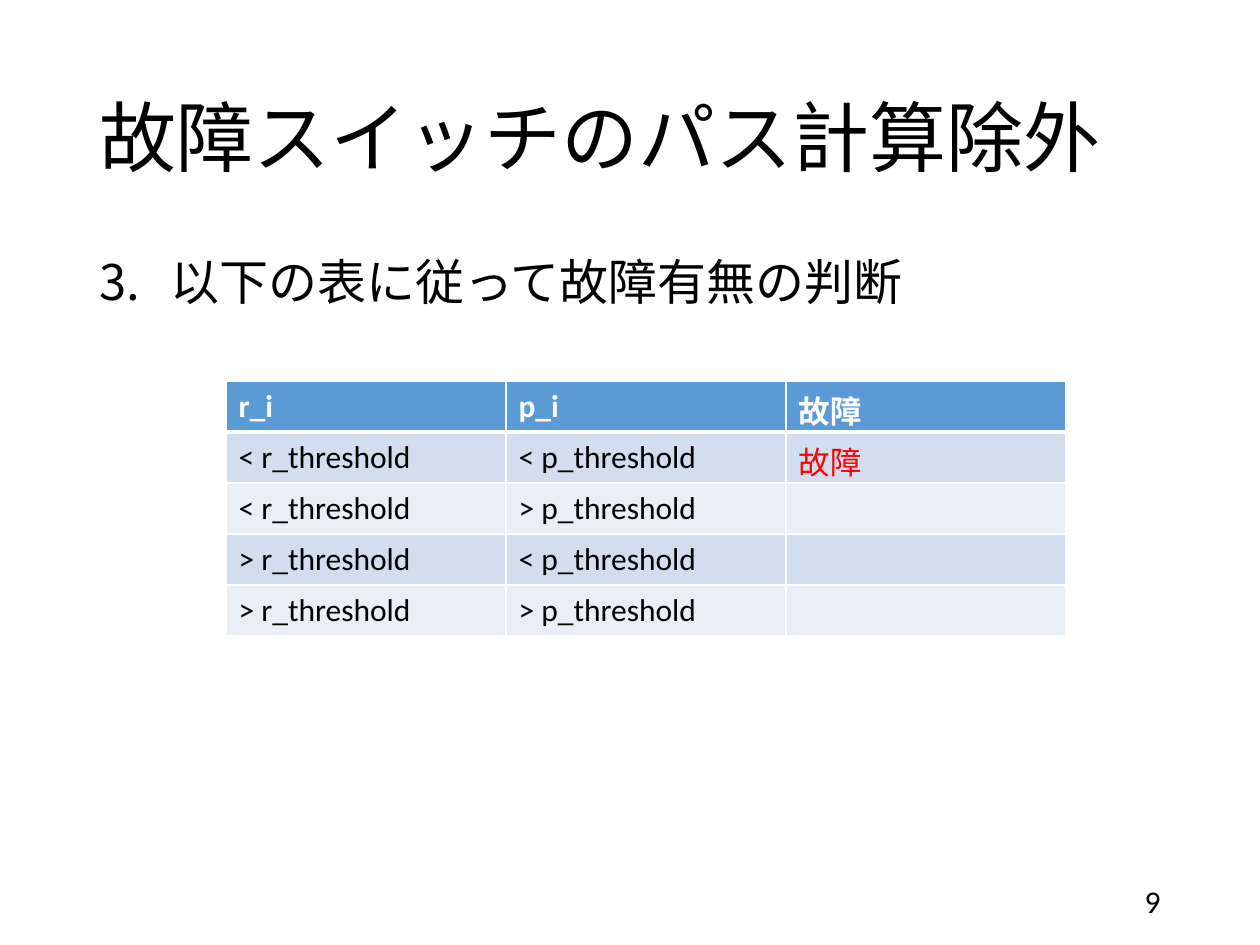
import pptx
import pptx.dml.color
import pptx.enum.text
import pptx.oxml
import pptx.oxml.ns
import pptx.util

# Content
TITLE = "故障スイッチのパス計算除外"
STEP, STEP_NUMBER = "以下の表に従って故障有無の判断", 3
PAGE_NUMBER = "9"
ROWS = [
    ("r_i", "p_i", "故障"),
    ("< r_threshold", "< p_threshold", "故障"),
    ("< r_threshold", "> p_threshold", ""),
    ("> r_threshold", "< p_threshold", ""),
    ("> r_threshold", "> p_threshold", ""),
]

# Geometry in px: left, top, width, height
PX = 914400 / 126
TITLE_BOX = (87, 50, 1086, 183)
BODY_BOX = (87, 252, 1086, 600)
NUMBER_BOX = (890, 876, 283, 50)
TABLE_LEFT, TABLE_TOP, COLUMN_WIDTH, ROW_HEIGHT = 226, 381, 280, 51
INDENT = 71

FONT = "Calibri"
BLACK, WHITE, RED = "000000", "FFFFFF", "FF0000"
HEADER_FILL, BAND_FILLS = "5B9BD5", ("D2DEEF", "EAEFF7")

ALIGN = pptx.enum.text.PP_ALIGN
ANCHOR = pptx.enum.text.MSO_ANCHOR


def px(length):
    return pptx.util.Emu(round(length * PX))


def color(value):
    return pptx.dml.color.RGBColor.from_string(value)


def place(shape, box):
    shape.left, shape.top, shape.width, shape.height = map(px, box)


def write(frame, text, size=18, fill=BLACK, bold=False, align=ALIGN.LEFT,
          anchor=ANCHOR.TOP, line_spacing=None, space_before=0):
    frame.word_wrap = True
    frame.vertical_anchor = anchor
    paragraph = frame.paragraphs[0]
    paragraph.alignment = align
    paragraph.line_spacing = line_spacing
    paragraph.space_before = pptx.util.Pt(space_before)
    # Formatting the paragraph's end keeps empty cells at the same size
    run = paragraph.add_run() if text else paragraph
    if text:
        run.text = text
    run.font.name = FONT
    run.font.size = pptx.util.Pt(size)
    run.font.bold = bold
    run.font.color.rgb = color(fill)
    return paragraph


def number_paragraph(paragraph, start):
    properties = paragraph._p.get_or_add_pPr()
    properties.set("marL", str(px(INDENT)))
    properties.set("indent", str(-px(INDENT)))
    bullet = pptx.oxml.parse_xml(
        f'<a:buAutoNum {pptx.oxml.ns.nsdecls("a")} type="arabicPeriod" startAt="{start}"/>')
    properties.append(bullet)


def set_borders(cell, widths):
    properties = cell._tc.get_or_add_tcPr()
    for index, (side, width) in enumerate(widths.items()):
        properties.insert(index, pptx.oxml.parse_xml(
            f'<a:ln{side} {pptx.oxml.ns.nsdecls("a")} w="{pptx.util.Pt(width)}">'
            f'<a:solidFill><a:srgbClr val="{WHITE}"/></a:solidFill></a:ln{side}>'))


def add_threshold_table(slide):
    row_count, column_count = len(ROWS), len(ROWS[0])
    box = (TABLE_LEFT, TABLE_TOP, COLUMN_WIDTH * column_count, ROW_HEIGHT * row_count)
    table = slide.shapes.add_table(row_count, column_count, *map(px, box)).table
    for row_index, row in enumerate(ROWS):
        header = row_index == 0
        for column_index, text in enumerate(row):
            cell = table.cell(row_index, column_index)
            cell.fill.solid()
            cell.fill.fore_color.rgb = color(
                HEADER_FILL if header else BAND_FILLS[(row_index - 1) % 2])
            set_borders(cell, {"L": 1, "R": 1, "T": 3 if row_index == 1 else 1,
                               "B": 3 if header else 1})
            fill = WHITE if header else RED if text == "故障" else BLACK
            write(cell.text_frame, text, fill=fill, bold=header)


def main():
    presentation = pptx.Presentation()
    presentation.slide_width, presentation.slide_height = px(1260), px(945)
    slide = presentation.slides.add_slide(presentation.slide_layouts[1])

    # Title and numbered step
    title, body = slide.placeholders
    place(title, TITLE_BOX)
    write(title.text_frame, TITLE, size=44, anchor=ANCHOR.MIDDLE, line_spacing=0.9)
    place(body, BODY_BOX)
    step = write(body.text_frame, STEP, size=28, line_spacing=0.9, space_before=10)
    number_paragraph(step, STEP_NUMBER)
    for shape in (title, body):
        shape.text_frame.auto_size = pptx.enum.text.MSO_AUTO_SIZE.NONE

    # Page number
    number = slide.shapes.add_textbox(*map(px, NUMBER_BOX))
    write(number.text_frame, PAGE_NUMBER, align=ALIGN.RIGHT, anchor=ANCHOR.MIDDLE)

    # Threshold table
    add_threshold_table(slide)
    presentation.save("out.pptx")


if __name__ == "__main__":
    main()
